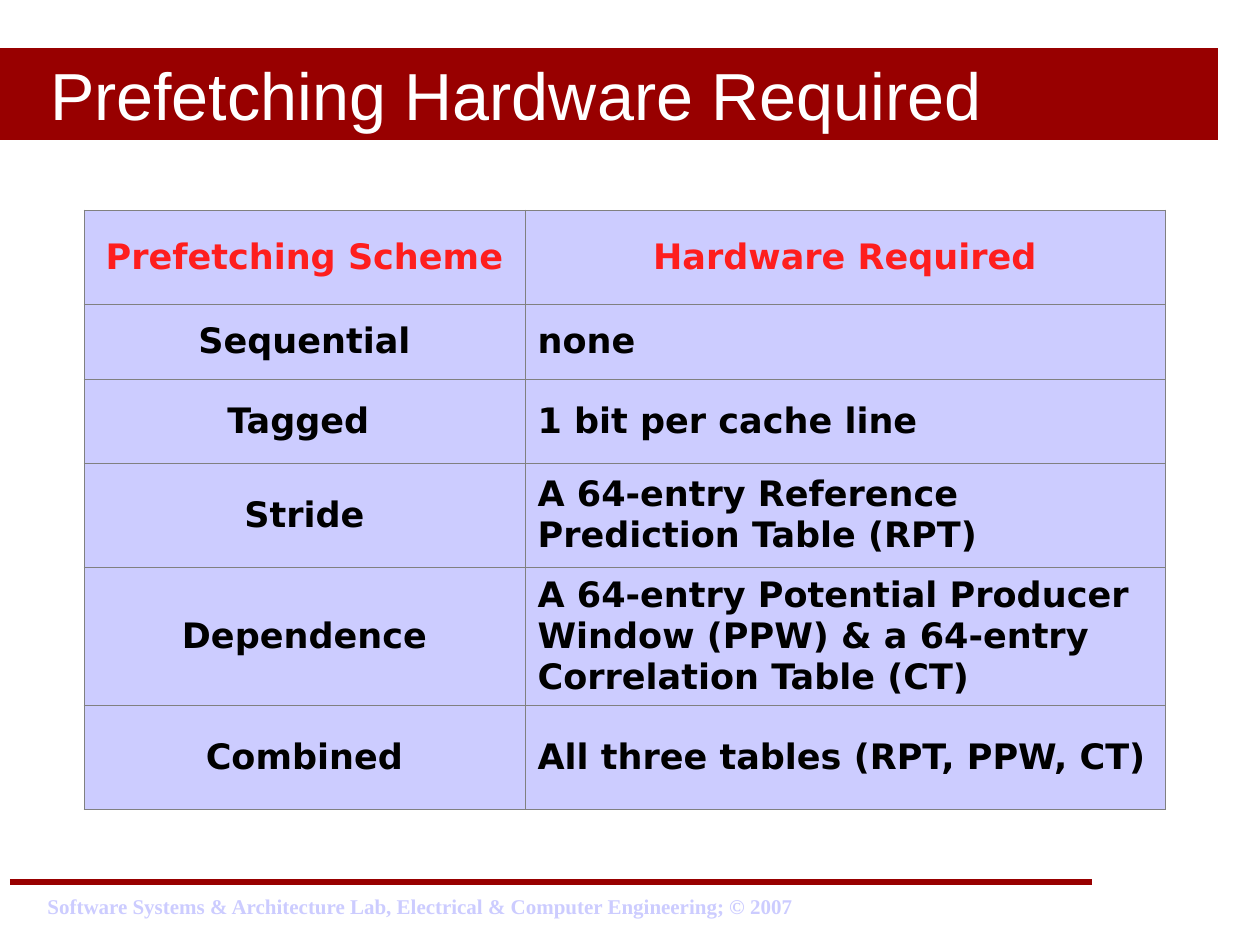
from lxml.etree import SubElement
from pptx import Presentation
from pptx.dml.color import RGBColor
from pptx.enum.shapes import MSO_CONNECTOR as Connector
from pptx.enum.text import MSO_ANCHOR as Anchor, MSO_AUTO_SIZE as AutoSize, PP_ALIGN as Align
from pptx.oxml.ns import qn
from pptx.util import Emu, Pt

EMU_PER_PX = 914400 / 126
RED, LAVENDER, GREY = "980000", "CCCCFF", "808080"

TITLE_FONT = {"name": "Arial", "size": Pt(38), "bold": False}
FOOTER_FONT = {"name": "Times New Roman", "size": Pt(12), "bold": True}
TABLE_FONT = {"name": "DejaVu Sans", "size": Pt(20), "bold": True}

COLUMN_WIDTHS = [441, 640]
ROW_HEIGHTS = [94, 75, 84, 104, 138, 104]
ROWS = [
    ("Prefetching Scheme", "Hardware Required"),
    ("Sequential", "none"),
    ("Tagged ", "1 bit per cache line"),
    ("Stride", "A 64-entry Reference Prediction Table (RPT)"),
    ("Dependence", "A 64-entry Potential Producer Window (PPW) & a 64-entry Correlation Table (CT)"),
    ("Combined", "All three tables (RPT, PPW, CT)"),
]


def px(length):
    return Emu(round(length * EMU_PER_PX))


def color(value):
    return RGBColor.from_string(value)


def set_all(target, values):
    for name, value in values.items():
        setattr(target, name, value)


def place(shape, left, top, width, height):
    set_all(shape, {"left": px(left), "top": px(top), "width": px(width), "height": px(height)})


def fill(target, value):
    target.fill.solid()
    target.fill.fore_color.rgb = color(value)


def write(frame, text, font, text_color, align=Align.LEFT):
    para = frame.paragraphs[0]
    para.alignment = align
    span = para.add_run()
    span.text = text
    set_all(span.font, font)
    span.font.color.rgb = color(text_color)


def add_title(page, text):
    title = page.shapes.title
    place(title, 0, 48, 1218, 92)
    fill(title, RED)
    set_all(title.text_frame, {
        "auto_size": AutoSize.NONE, "word_wrap": True,
        "vertical_anchor": Anchor.MIDDLE, "margin_left": px(50),
    })
    write(title.text_frame, text, TITLE_FONT, "FFFFFF")


def set_borders(cell):
    """Draw a thin grey line on every side; borders must precede the cell fill."""
    properties = cell._tc.get_or_add_tcPr()
    for side in ("lnL", "lnR", "lnT", "lnB"):
        line = SubElement(properties, qn(f"a:{side}"), w=str(Pt(0.45)))
        solid = SubElement(line, qn("a:solidFill"))
        SubElement(solid, qn("a:srgbClr"), val=GREY)


def add_scheme_table(page):
    frame = page.shapes.add_table(
        len(ROWS), len(COLUMN_WIDTHS), px(84), px(210),
        px(sum(COLUMN_WIDTHS)), px(sum(ROW_HEIGHTS)))
    table = frame.table
    for column, width in zip(table.columns, COLUMN_WIDTHS):
        column.width = px(width)
    for row, height in zip(table.rows, ROW_HEIGHTS):
        row.height = px(height)
    for r, texts in enumerate(ROWS):
        for c, text in enumerate(texts):
            cell = table.cell(r, c)
            set_borders(cell)
            fill(cell, LAVENDER)
            cell.vertical_anchor = Anchor.MIDDLE
            centred = r == 0 or c == 0
            write(cell.text_frame, text, TABLE_FONT,
                  "FE1E1E" if r == 0 else "000000",
                  Align.CENTER if centred else Align.LEFT)


def add_footer(page, text):
    rule = page.shapes.add_connector(Connector.STRAIGHT, px(10), px(882), px(1092), px(882))
    rule.line.color.rgb = color(RED)
    rule.line.width = Pt(3)
    SubElement(rule._element.spPr, qn("a:effectLst"))
    box = page.shapes.add_textbox(px(35), px(887), px(774), px(38))
    box.text_frame.word_wrap = False
    write(box.text_frame, text, FOOTER_FONT, LAVENDER)


def main():
    deck = Presentation()
    set_all(deck, {"slide_width": px(1260), "slide_height": px(945)})
    page = deck.slides.add_slide(deck.slide_layouts.get_by_name("Title Only"))
    add_footer(page, "Software Systems & Architecture Lab, Electrical & Computer Engineering; © 2007")
    add_title(page, "Prefetching Hardware Required")
    add_scheme_table(page)
    deck.save("out.pptx")


if __name__ == "__main__":
    main()
